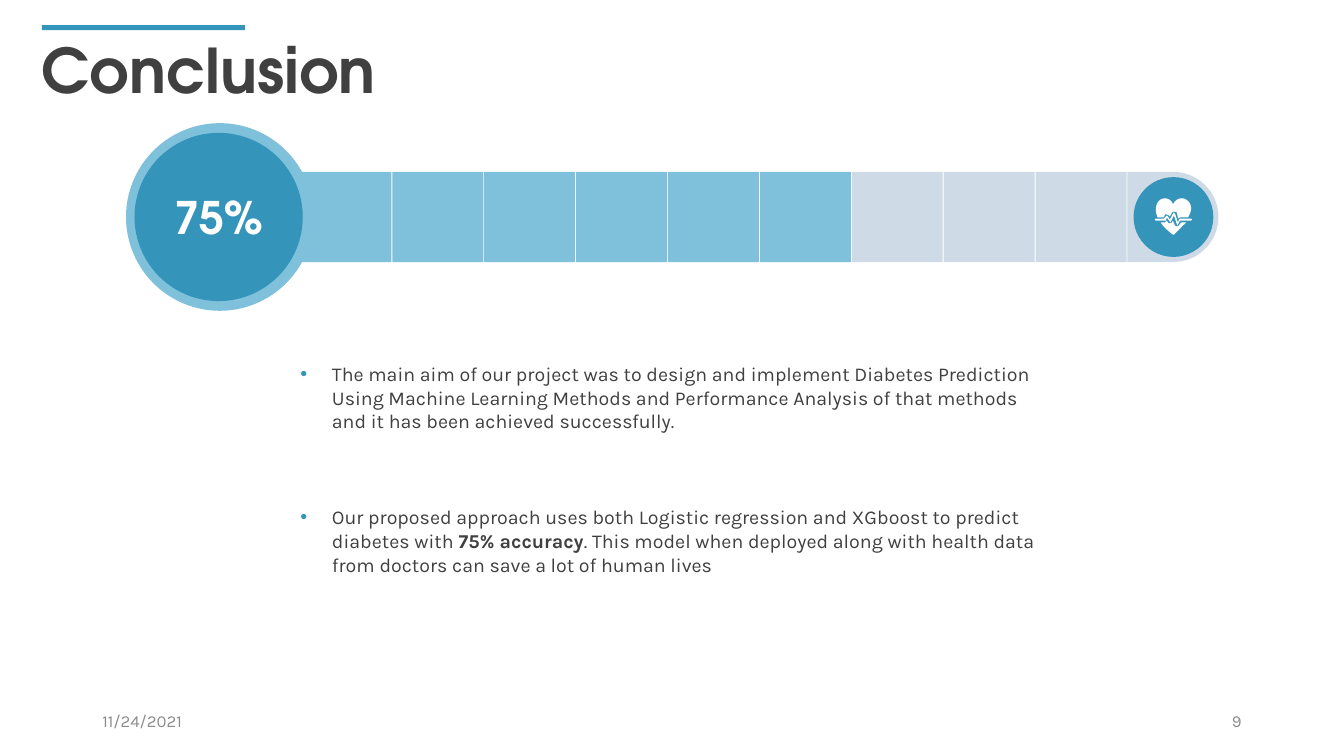
from lxml import etree
from pptx import Presentation
from pptx.enum.shapes import MSO_SHAPE
from pptx.enum.text import MSO_ANCHOR, PP_ALIGN
from pptx.dml.color import RGBColor
from pptx.oxml.ns import qn
from pptx.util import Pt

RECTANGLE, OVAL, ROUNDED_END = MSO_SHAPE.RECTANGLE, MSO_SHAPE.OVAL, MSO_SHAPE.FLOWCHART_DELAY
TOP, MIDDLE = MSO_ANCHOR.TOP, MSO_ANCHOR.MIDDLE
LEFT, CENTER, RIGHT = PP_ALIGN.LEFT, PP_ALIGN.CENTER, PP_ALIGN.RIGHT
COLORS = {"accent": "3494BA", "filled": "7FC1DB", "empty": "CEDBE6",
          "text": "404040", "footer": "8C8C8C", "white": "FFFFFF"}
HEADING_FONT, BODY_FONT = "TeX Gyre Adventor", "Karla"
SEGMENT_COUNT, FILLED_COUNT = 10, 6

HEART_TOP = [(24, 40), (30, 40), (31, 37), (33, 37), (35, 38), (36, 39), (38, 35), (40, 34),
             (43, 35), (44, 41), (46, 40), (54, 40), (55, 38, 57, 34, 57, 31),
             (57, 25, 52, 21, 48, 21), (44, 21, 41, 23, 39, 27), (38, 23, 34, 21, 31, 21),
             (25, 21, 22, 27, 22, 32), (22, 35, 23, 38, 24, 40)]
HEART_TIP = [(45, 48), (43, 49), (41, 48), (39, 43), (38, 45), (36, 46), (34, 45), (33, 43),
             (32, 44), (31, 45), (27, 45), (29, 49, 35, 54, 39, 57), (40, 57),
             (43, 54, 49, 48, 52, 45), (47, 45)]
PULSE = [(57, 41), (46, 41), (45, 42), (44, 45), (41, 36), (40, 35), (39, 36), (36, 42),
         (34, 39), (33, 38), (32, 39), (30, 41), (22, 41), (21, 42), (22, 43), (32, 43),
         (33, 40), (36, 44), (36.5, 45), (37, 44), (40, 38), (43, 47), (43.5, 48), (44, 47),
         (46, 43), (57, 43), (58, 42)]
ICON_GRID = 79

CONCLUSIONS = [
    [("The main aim of our project was to design and implement Diabetes Prediction Using "
      "Machine Learning Methods and Performance Analysis of that methods and it has been "
      "achieved successfully.", False)],
    [("Our proposed approach uses both Logistic regression and XGboost to predict diabetes "
      "with ", False),
     ("75% accuracy", True),
     (". This model when deployed along with health data from doctors can save a lot of "
      "human lives", False)],
]


def paint(shape, color):
    """Give a shape a flat fill without line or shadow."""
    shape.shadow.inherit = False
    shape.fill.solid()
    shape.fill.fore_color.rgb = RGBColor.from_string(COLORS[color])
    shape.line.fill.background()


def add_flat(slide, kind, left, top, width, height, color):
    """Add a flat preset shape."""
    shape = slide.shapes.add_shape(kind, Pt(left), Pt(top), Pt(width), Pt(height))
    paint(shape, color)
    return shape


def style(paragraph, font_name, size, color, bold=None, align=LEFT):
    """Set the font and alignment of a paragraph."""
    paragraph.alignment = align
    font = paragraph.font
    font.name, font.size, font.bold = font_name, Pt(size), bold
    font.color.rgb = RGBColor.from_string(COLORS[color])


def add_text_frame(slide, left, top, width, height, anchor=TOP, inset=0):
    """Add a wrapping text box and return its text frame."""
    frame = slide.shapes.add_textbox(Pt(left), Pt(top), Pt(width), Pt(height)).text_frame
    frame.word_wrap = True
    frame.vertical_anchor = anchor
    frame.margin_left = frame.margin_right = Pt(inset)
    frame.margin_top = frame.margin_bottom = Pt(inset / 2)
    return frame


def add_header(slide, left, top, width):
    """Draw the accent rule with the slide title below it."""
    add_flat(slide, RECTANGLE, left, top, 145, 3.6, "accent")
    paragraph = add_text_frame(slide, left, top + 5, width, 53).paragraphs[0]
    paragraph.text = "Conclusion"
    style(paragraph, HEADING_FONT, 44, "text", True)


def outline_points(steps):
    """Turn line and Bézier steps into a list of points."""
    points = [steps[0]]
    for step in steps[1:]:
        if len(step) == 2:
            points.append(step)
            continue
        controls = [points[-1], step[:2], step[2:4], step[4:]]
        for index in range(1, 9):
            t = index / 8
            weights = ((1 - t) ** 3, 3 * t * (1 - t) ** 2, 3 * t * t * (1 - t), t ** 3)
            points.append(tuple(sum(weight * control[axis]
                                    for weight, control in zip(weights, controls))
                                for axis in (0, 1)))
    return points


def add_heart_badge(slide, left, top, size):
    """Draw a round badge with a heart and a pulse line."""
    add_flat(slide, OVAL, left, top, size, size, "accent")
    icon = slide.shapes.add_group_shape()
    unit = Pt(size) / ICON_GRID
    for steps in (HEART_TIP, HEART_TOP, PULSE):
        points = [(x * unit, y * unit) for x, y in outline_points(steps)]
        builder = icon.shapes.build_freeform(*points[0])
        builder.add_line_segments(points[1:], close=True)
        paint(builder.convert_to_shape(Pt(left), Pt(top)), "white")


def add_progress_bar(slide, left, top, width, height):
    """Draw the thermometer bar with its bulb, segments and badge."""
    bulb, disc, badge, gap = height, 120.2, 57, 0.6
    bar_left, bar_height = left + 124.6, 64.4
    bar_top = top + (height - bar_height) / 2
    pitch = (left + width - bar_left) / SEGMENT_COUNT
    add_flat(slide, OVAL, left, top, bulb, bulb, "filled")
    for index in range(SEGMENT_COUNT):
        kind = ROUNDED_END if index == SEGMENT_COUNT - 1 else RECTANGLE
        color = "filled" if index < FILLED_COUNT else "empty"
        add_flat(slide, kind, bar_left + index * pitch, bar_top, pitch - gap, bar_height, color)
    margin = (bulb - disc) / 2
    label = add_flat(slide, OVAL, left + margin - 0.8, top + margin, disc, disc, "accent")
    label.text_frame.vertical_anchor = MIDDLE
    paragraph = label.text_frame.paragraphs[0]
    paragraph.text = "75%"
    style(paragraph, HEADING_FONT, 32, "white", True, CENTER)
    inset = (bar_height - badge) / 2
    add_heart_badge(slide, left + width - gap - inset - badge, bar_top + inset, badge)


def add_bullet(paragraph):
    """Give a paragraph an accent bullet and a hanging indent."""
    properties = paragraph._p.get_or_add_pPr()
    properties.set("marL", str(Pt(22.5)))
    properties.set("indent", str(-Pt(22.5)))
    bullet_color = etree.SubElement(properties, qn("a:buClr"))
    etree.SubElement(bullet_color, qn("a:srgbClr"), val=COLORS["accent"])
    etree.SubElement(properties, qn("a:buFont"), typeface="Arial")
    etree.SubElement(properties, qn("a:buChar"), char="•")


def add_conclusions(slide, left, top, width, pitch):
    """Place the bulleted conclusions at equal distances."""
    for index, parts in enumerate(CONCLUSIONS):
        paragraph = add_text_frame(slide, left, top + index * pitch, width, 51).paragraphs[0]
        add_bullet(paragraph)
        style(paragraph, BODY_FONT, 14, "text")
        for text, bold in parts:
            run = paragraph.add_run()
            run.text, run.font.bold = text, bold


def add_footer(slide, left, top, width, height):
    """Place the date at the left and the slide number at the right."""
    field = 216
    for text, field_left, align in (("11/24/2021", left, LEFT),
                                    ("9", left + width - field, RIGHT)):
        frame = add_text_frame(slide, field_left, top, field, height, MIDDLE, 7.2)
        frame.paragraphs[0].text = text
        style(frame.paragraphs[0], BODY_FONT, 12, "footer", align=align)


def main():
    """Build the conclusion slide and save it."""
    presentation = Presentation()
    presentation.slide_width, presentation.slide_height = Pt(960), Pt(540)
    slide = presentation.slides.add_slide(presentation.slide_layouts[6])
    add_header(slide, 30, 18, 900)
    add_progress_bar(slide, 90, 88, 781, 134)
    add_conclusions(slide, 214.6, 258.5, 525, 102.5)
    add_footer(slide, 66, 500.4, 828, 28.8)
    presentation.save("out.pptx")


if __name__ == "__main__":
    main()
